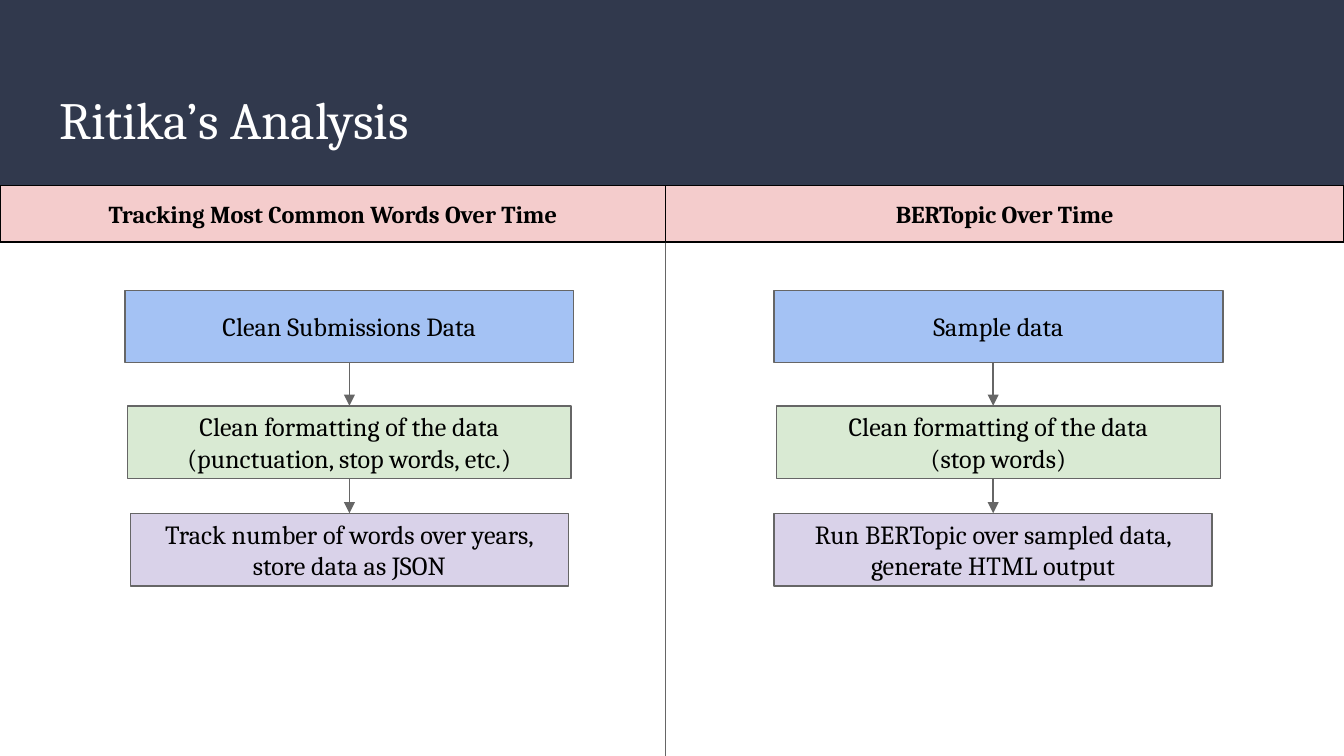
from dataclasses import dataclass

from lxml.etree import SubElement
from pptx import Presentation
from pptx.dml.color import RGBColor
from pptx.enum.shapes import MSO_CONNECTOR, MSO_SHAPE
from pptx.enum.text import MSO_ANCHOR, PP_ALIGN
from pptx.oxml.ns import qn
from pptx.util import Inches, Pt


@dataclass(frozen=True)
class Theme:
    font: str = "Cambria"
    navy: str = "31394D"
    white: str = "FFFFFF"
    black: str = "000000"
    gray: str = "666666"
    pink: str = "F4CCCC"
    blue: str = "A4C2F4"
    green: str = "D9EAD3"
    purple: str = "D9D2E9"
    title: int = 28
    head: int = 13
    body: int = 14
    rule: float = 0.75


THEME = Theme()
WIDTH = 10
HEIGHT = WIDTH * 9 / 16
SPLIT = 4.95
STEP_H = 0.54
# Top, width and fill of each step, the same in both flows
STEPS = [
    (2.16, 3.34, THEME.blue),
    (3.02, 3.30, THEME.green),
    (3.82, 3.26, THEME.purple),
]


def color(code):
    return RGBColor.from_string(code)


def set_text(shape, text, size, ink=THEME.black, bold=False,
             align=PP_ALIGN.CENTER, anchor=MSO_ANCHOR.MIDDLE):
    frame = shape.text_frame
    frame.text = text
    frame.word_wrap = True
    frame.vertical_anchor = anchor
    frame.margin_left = frame.margin_right = Inches(0.1)
    frame.margin_top = frame.margin_bottom = Inches(0.1)
    for para in frame.paragraphs:
        para.alignment = align
        for run in para.runs:
            run.font.name = THEME.font
            run.font.size = Pt(size)
            run.font.bold = bold
            run.font.color.rgb = color(ink)


def add_box(slide, left, top, width, height, fill, edge=None):
    box = slide.shapes.add_shape(
        MSO_SHAPE.RECTANGLE, Inches(left), Inches(top), Inches(width), Inches(height))
    box.shadow.inherit = False
    box.fill.solid()
    box.fill.fore_color.rgb = color(fill)
    if edge:
        box.line.color.rgb = color(edge)
        box.line.width = Pt(THEME.rule)
    else:
        box.line.fill.background()
    return box


def add_line(slide, x, top, bottom):
    line = slide.shapes.add_connector(
        MSO_CONNECTOR.STRAIGHT, Inches(x), Inches(top), Inches(x), Inches(bottom))
    line.line.color.rgb = color(THEME.gray)
    line.line.width = Pt(THEME.rule)
    SubElement(line.element.spPr, qn("a:effectLst"))
    return line


def add_arrow(slide, x, upper, lower):
    """Point from one step down to the next, joined where x meets a box's middle."""
    arrow = add_line(slide, x, (upper.top + upper.height) / Inches(1),
                     lower.top / Inches(1))
    SubElement(arrow.element.spPr.find(qn("a:ln")), qn("a:tailEnd"), type="triangle")
    for box, join, site in ((upper, arrow.begin_connect, 2),
                            (lower, arrow.end_connect, 0)):
        if abs(box.left + box.width / 2 - Inches(x)) < Inches(0.02):
            join(box, site)


def add_title(slide, text):
    title = slide.shapes.title
    title.left, title.top = Inches(0.34), Inches(0.55)
    title.width, title.height = Inches(9.32), Inches(0.68)
    set_text(title, text, THEME.title, THEME.white,
             align=PP_ALIGN.LEFT, anchor=MSO_ANCHOR.TOP)
    band = add_box(slide, 0, 0, WIDTH, 1.4, THEME.navy)
    title.element.addprevious(band.element)


def add_head(slide, left, right, text):
    head = add_box(slide, left, 1.38, right - left, 0.42, THEME.pink, THEME.black)
    set_text(head, text, THEME.head, bold=True)


def add_flow(slide, lefts, axis, texts):
    boxes = []
    for left, (top, width, fill), text in zip(lefts, STEPS, texts):
        box = add_box(slide, left, top, width, STEP_H, fill, THEME.gray)
        set_text(box, text, THEME.body)
        boxes.append(box)
    for upper, lower in zip(boxes, boxes[1:]):
        add_arrow(slide, axis, upper, lower)


def main():
    deck = Presentation()
    deck.slide_width, deck.slide_height = Inches(WIDTH), Inches(HEIGHT)
    slide = deck.slides.add_slide(deck.slide_layouts[5])

    add_title(slide, "Ritika’s Analysis")
    add_head(slide, 0, SPLIT, "Tracking Most Common Words Over Time")
    add_line(slide, SPLIT, 1.42, HEIGHT)
    add_head(slide, SPLIT, WIDTH, "BERTopic Over Time")

    add_flow(slide, (0.93, 0.95, 0.97), 2.6, (
        "Clean Submissions Data",
        "Clean formatting of the data (punctuation, stop words, etc.)",
        "Track number of words over years, store data as JSON",
    ))
    add_flow(slide, (5.76, 5.78, 5.76), 7.39, (
        "Sample data",
        "Clean formatting of the data\n(stop words)",
        "Run BERTopic over sampled data, generate HTML output",
    ))
    deck.save("out.pptx")


if __name__ == "__main__":
    main()
